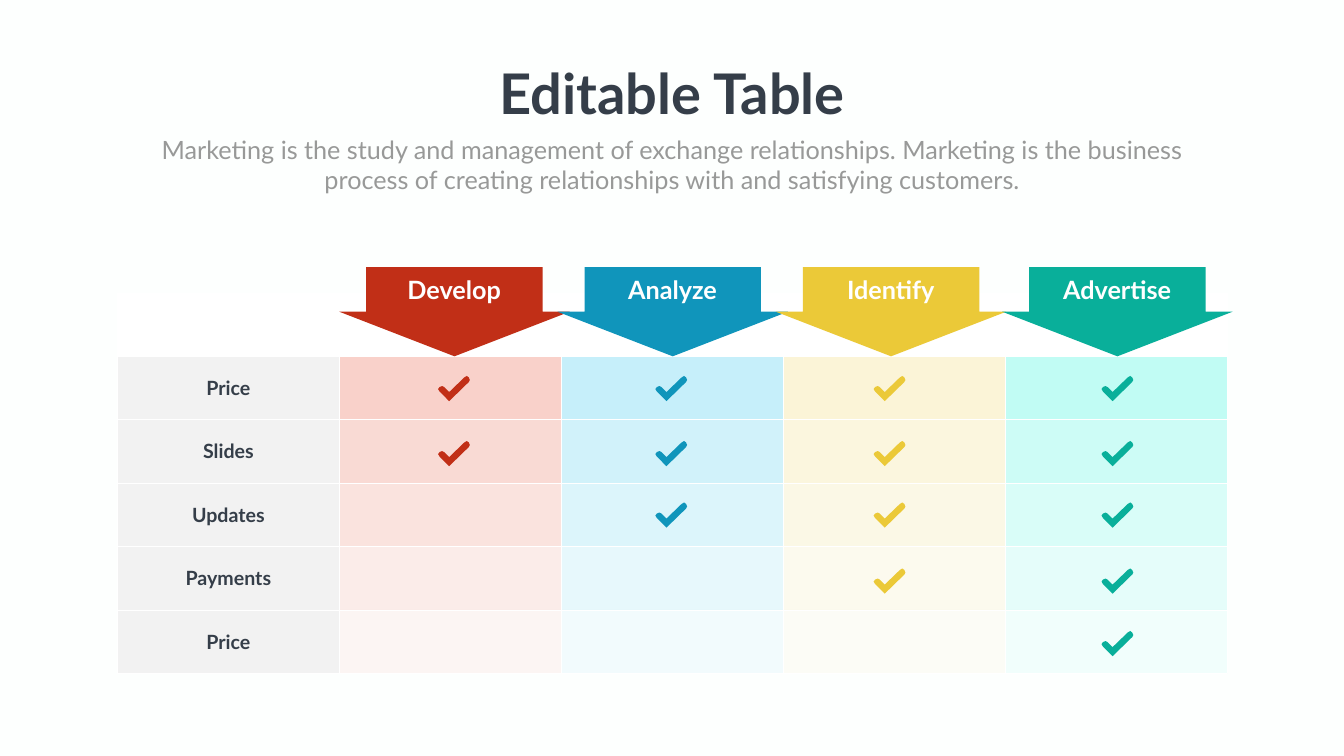
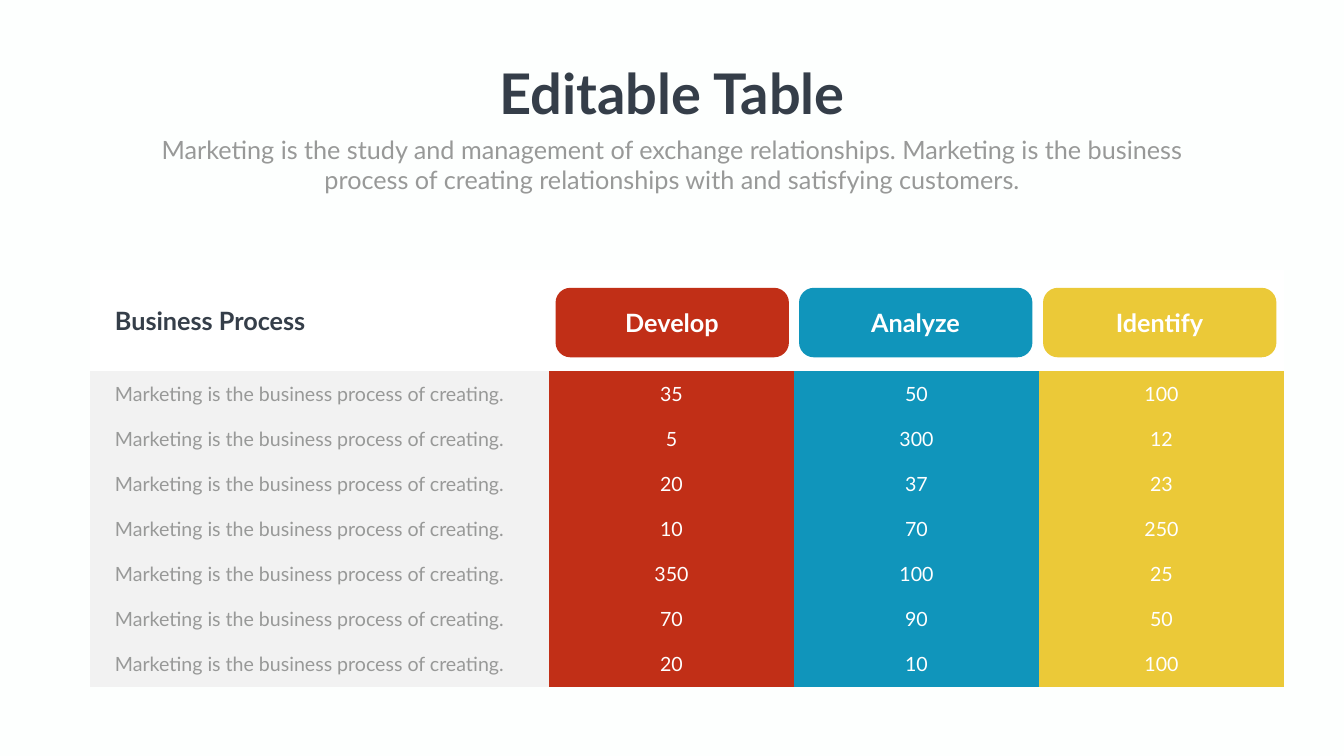
from dataclasses import dataclass

from lxml import etree
from pptx import Presentation
from pptx.dml.color import RGBColor
from pptx.enum.shapes import MSO_SHAPE
from pptx.enum.text import MSO_ANCHOR, MSO_AUTO_SIZE, PP_ALIGN
from pptx.oxml.ns import qn
from pptx.util import Pt

LEFT, CENTER = PP_ALIGN.LEFT, PP_ALIGN.CENTER
TOP, MIDDLE = MSO_ANCHOR.TOP, MSO_ANCHOR.MIDDLE
FIT_SHAPE = MSO_AUTO_SIZE.SHAPE_TO_FIT_TEXT
RIGHT_ARROW, ROUNDED = MSO_SHAPE.RIGHT_ARROW, MSO_SHAPE.ROUNDED_RECTANGLE
EMU_PER_PX = 9144
TITLE_ONLY = 5
PLAIN_TABLE_STYLE = "{2D5ABB26-0587-4C30-8999-92F81FD0307C}"


@dataclass(frozen=True)
class Theme:
    font: str = "Lato"
    background: str = "FDFFFE"
    dark: str = "353E49"
    gray: str = "989998"
    pale: str = "F2F2F2"
    white: str = "FFFFFF"
    title_size: int = 80
    heading_size: int = 36
    cell_size: int = 28


@dataclass(frozen=True)
class Plan:
    name: str
    color: str
    tint: str
    arrow_left: int
    check_left: int
    checks: int


THEME = Theme()
PLANS = [
    Plan("Develop", "C12F17", "F9D1CA", 813, 869, 2),
    Plan("Analyze", "1095BB", "C6EFFA", 1246, 1300, 3),
    Plan("Identify", "EBC938", "FBF4D7", 1679, 1733, 4),
    Plan("Advertise", "09AF9A", "C1FCF4", 2128, 2185, 5),
]
FEATURES = ["Price", "Slides", "Updates", "Payments", "Price"]
CHECK_TOPS = [746, 875, 997, 1128, 1252]
CHECK_OUTLINE = [
    (22, 50), (3, 31), (0, 26), (3, 22), (8, 20), (12, 22),
    (22, 32), (52, 3), (57, 0), (61, 3), (63, 8), (61, 12),
]
PROCESS = "Marketing is the business process of creating."
PROCESS_VALUES = [
    (35, 50, 100),
    (5, 300, 12),
    (20, 37, 23),
    (10, 70, 250),
    (350, 100, 25),
    (70, 90, 50),
    (20, 10, 100),
]
TITLE = "Editable Table"
SUBTITLE = (
    "Marketing is the study and management of exchange relationships. "
    "Marketing is the business process of creating relationships with "
    "and satisfying customers."
)


def px(length):
    return round(length * EMU_PER_PX)


def box(*lengths):
    return [px(length) for length in lengths]


def set_fill(target, color):
    target.fill.solid()
    target.fill.fore_color.rgb = RGBColor.from_string(color)


def write(text_frame, text, size, color, bold=False, align=CENTER):
    text_frame.text = text
    paragraph = text_frame.paragraphs[0]
    paragraph.alignment = align
    font = paragraph.runs[0].font
    font.name, font.size, font.bold = THEME.font, Pt(size), bold
    font.color.rgb = RGBColor.from_string(color)


def add_label(shapes, bounds, text, color=THEME.white, bold=True):
    text_frame = shapes.add_textbox(*box(*bounds)).text_frame
    text_frame.word_wrap = True
    text_frame.auto_size = FIT_SHAPE
    write(text_frame, text, THEME.heading_size, color, bold)


def add_heading_slide(presentation):
    slide = presentation.slides.add_slide(presentation.slide_layouts[TITLE_ONLY])
    set_fill(slide.background, THEME.background)
    title = slide.shapes.title
    title.left, title.top, title.width, title.height = box(966, 112, 735, 145)
    text_frame = title.text_frame
    text_frame.word_wrap = False
    text_frame.auto_size = FIT_SHAPE
    text_frame.vertical_anchor = TOP
    write(text_frame, TITLE, THEME.title_size, THEME.dark, True)
    add_label(slide.shapes, (292, 261, 2082, 131), SUBTITLE, THEME.gray, False)
    return slide


def add_plain_table(slide, rows, columns, bounds):
    frame = slide.shapes.add_table(rows, columns, *box(*bounds))
    for style in frame.element.iter(qn("a:tableStyleId")):
        style.text = PLAIN_TABLE_STYLE
    table = frame.table
    table.first_row = table.horz_banding = False
    return table


def set_borders(cell, color, first_column):
    properties = cell._tc.get_or_add_tcPr()
    for side in ("lnL", "lnR", "lnT", "lnB"):
        width = Pt(1 if side == "lnL" and first_column else 0.5)
        line = etree.SubElement(properties, qn(f"a:{side}"), w=str(width))
        fill = etree.SubElement(line, qn("a:solidFill"))
        etree.SubElement(fill, qn("a:srgbClr"), val=color)


def set_opacity(cell, percent):
    for color in cell._tc.tcPr.find(qn("a:solidFill")):
        etree.SubElement(color, qn("a:alpha"), val=str(percent * 1000))


def fill_cell(cell, text, size, color, bold=False, align=CENTER, side=10, edge=5):
    cell.margin_left = cell.margin_right = px(side)
    cell.margin_top = cell.margin_bottom = px(edge)
    cell.vertical_anchor = MIDDLE
    write(cell.text_frame, text, size, color, bold, align)


def paint(shape, color):
    shape.shadow.inherit = False
    set_fill(shape, color)
    shape.line.fill.background()


def add_shape(shapes, kind, bounds, color, *adjustments):
    shape = shapes.add_shape(kind, *box(*bounds))
    paint(shape, color)
    for index, value in enumerate(adjustments):
        shape.adjustments[index] = value
    return shape


def add_check(slide, left, top, color):
    start, *rest = [box(left + x, top + y) for x, y in CHECK_OUTLINE]
    builder = slide.shapes.build_freeform(*start)
    builder.add_line_segments(rest, close=True)
    paint(builder.convert_to_shape(), color)


def add_feature_table(slide):
    bounds = (233, 581, 2201, 755)
    table = add_plain_table(slide, len(FEATURES) + 1, len(PLANS) + 1, bounds)
    for row_index, row in enumerate(table.rows):
        for column_index, cell in enumerate(row.cells):
            set_borders(cell, THEME.white, column_index == 0)
            if row_index == 0:
                set_fill(cell, THEME.white)
            elif column_index == 0:
                set_fill(cell, THEME.pale)
                fill_cell(cell, FEATURES[row_index - 1], THEME.cell_size, THEME.dark, True)
            else:
                set_fill(cell, PLANS[column_index - 1].tint)
                if row_index > 1:
                    set_opacity(cell, 120 - 20 * row_index)


def build_feature_slide(presentation):
    slide = add_heading_slide(presentation)
    add_feature_table(slide)
    for plan in PLANS:
        for top in CHECK_TOPS[:plan.checks]:
            add_check(slide, plan.check_left, top, plan.color)
    for plan in PLANS:
        bounds = (plan.arrow_left, 390, 177, 457)
        arrow = add_shape(slide.shapes, RIGHT_ARROW, bounds, plan.color, 0.766, 0.5)
        arrow.rotation = 90
    for plan in PLANS:
        add_label(slide.shapes, (plan.arrow_left - 76, 540, 328, 71), plan.name)


def add_process_table(slide, plans):
    height, header_height = 827, 200
    count = len(PROCESS_VALUES)
    table = add_plain_table(slide, count + 1, len(plans) + 1, (178, 536, 2369, height))
    for column, width in zip(table.columns, [911] + [486] * len(plans)):
        column.width = px(width)
    for index, row in enumerate(table.rows):
        row.height = px((height - header_height) / count if index else header_height)
    for cell in table.rows[0].cells:
        set_fill(cell, THEME.white)
    fill_cell(table.cell(0, 0), "Business Process", THEME.heading_size,
              THEME.dark, True, LEFT, 50, 18)
    for row_index, values in enumerate(PROCESS_VALUES, 1):
        label = table.cell(row_index, 0)
        set_fill(label, THEME.pale)
        fill_cell(label, PROCESS, THEME.cell_size, THEME.gray, False, LEFT, 50, 18)
        for column_index, (plan, value) in enumerate(zip(plans, values), 1):
            cell = table.cell(row_index, column_index)
            set_fill(cell, plan.color)
            fill_cell(cell, str(value), THEME.cell_size, THEME.white, side=35, edge=18)


def build_process_slide(presentation):
    slide = add_heading_slide(presentation)
    plans = PLANS[:3]
    add_process_table(slide, plans)
    for index, plan in enumerate(plans):
        left = 1102 + 967 * index // 2
        shapes = slide.shapes.add_group_shape().shapes
        add_shape(shapes, ROUNDED, (left, 571, 463, 138), plan.color, 0.214)
        add_label(shapes, (left + 67, 604, 328, 71), plan.name)


def main():
    presentation = Presentation()
    presentation.slide_width, presentation.slide_height = box(2666, 1500)
    build_feature_slide(presentation)
    build_process_slide(presentation)
    presentation.save("out.pptx")


if __name__ == "__main__":
    main()
